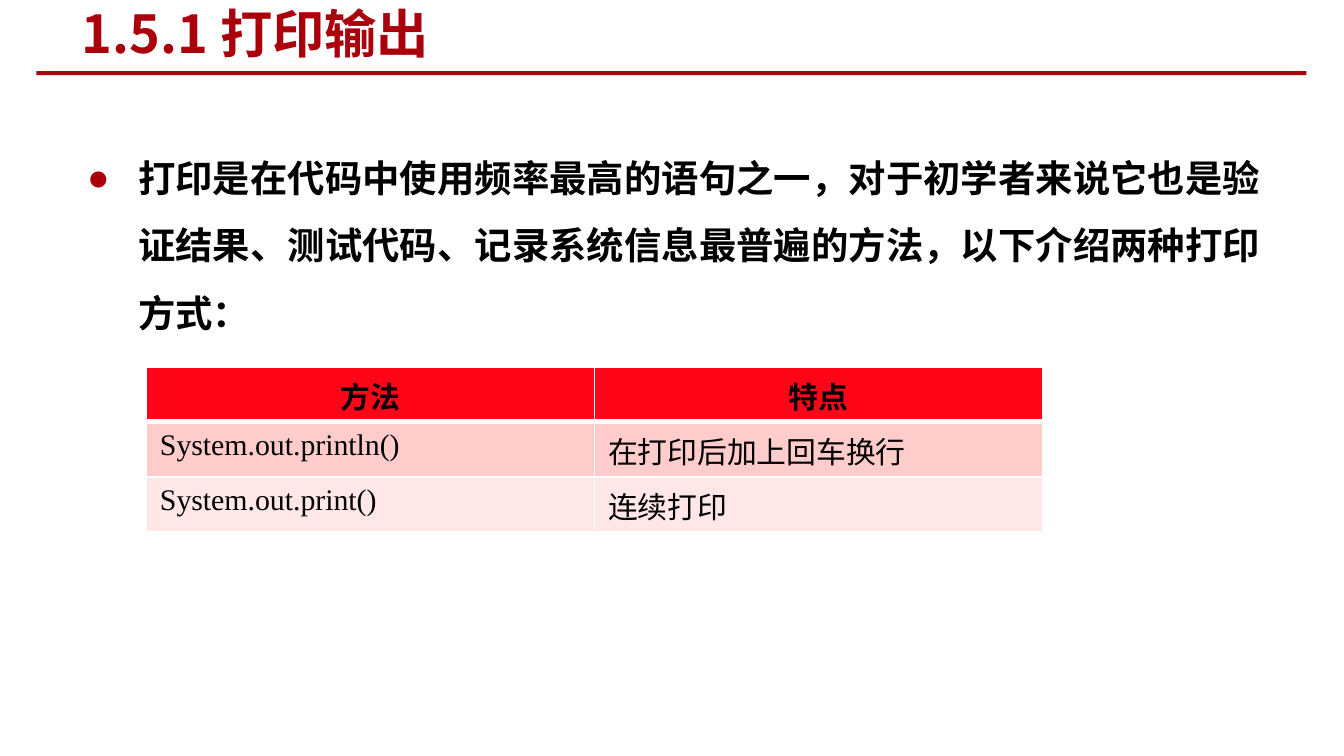
from lxml import etree
from pptx import Presentation
from pptx.dml.color import RGBColor
from pptx.enum.shapes import MSO_SHAPE
from pptx.enum.text import MSO_ANCHOR, PP_ALIGN
from pptx.oxml.ns import qn
from pptx.util import Inches, Pt

TITLE = "1.5.1 打印输出"
INTRO = ("打印是在代码中使用频率最高的语句之一，对于初学者来说它也是验证结果、"
         "测试代码、记录系统信息最普遍的方法，以下介绍两种打印方式：")
METHODS = [
    ("方法", "特点"),
    ("System.out.println()", "在打印后加上回车换行"),
    ("System.out.print()", "连续打印"),
]

CRIMSON = RGBColor(0xAA, 0x00, 0x0B)
BLACK = RGBColor(0, 0, 0)
ROW_FILLS = [RGBColor(0xFF, 0x05, 0x17), RGBColor(0xFF, 0xCC, 0xCC), RGBColor(0xFF, 0xE7, 0xE8)]
CJK_FONT = "Noto Sans CJK SC"
LATIN_FONT = "Times New Roman"


def style_runs(paragraph, size, color, bold, latin=CJK_FONT):
    for run in paragraph.runs:
        run.font.size = Pt(size)
        run.font.bold = bold
        run.font.color.rgb = color
        run.font.name = latin
        etree.SubElement(run.font._element, qn("a:ea"), typeface=CJK_FONT)


def add_bullet(paragraph, indent):
    properties = paragraph._p.get_or_add_pPr()
    properties.set("marL", str(indent))
    properties.set("indent", str(-indent))
    color = etree.SubElement(properties, qn("a:buClr"))
    etree.SubElement(color, qn("a:srgbClr"), val=str(CRIMSON))
    etree.SubElement(properties, qn("a:buFont"), typeface=LATIN_FONT)
    etree.SubElement(properties, qn("a:buChar"), char="●")


def set_borders(cell, widths):
    """Draw white cell borders; widths maps a side (L, R, T, B) to points."""
    properties = cell._tc.get_or_add_tcPr()
    for position, (side, width) in enumerate(widths.items()):
        line = etree.Element(qn(f"a:ln{side}"), w=str(Pt(width)))
        fill = etree.SubElement(line, qn("a:solidFill"))
        etree.SubElement(fill, qn("a:srgbClr"), val="FFFFFF")
        properties.insert(position, line)


def add_title(slide):
    title = slide.shapes.title
    title.left, title.top, title.width, title.height = map(Inches, (0.51, 0.02, 5.3, 0.45))
    frame = title.text_frame
    frame.text = TITLE
    frame.vertical_anchor = MSO_ANCHOR.MIDDLE
    frame.paragraphs[0].alignment = PP_ALIGN.LEFT
    style_runs(frame.paragraphs[0], 28, CRIMSON, True)


def add_rule(slide):
    rule = slide.shapes.add_shape(
        MSO_SHAPE.RECTANGLE, Inches(0.27), Inches(0.53), Inches(9.45), Inches(0.03))
    rule.shadow.inherit = False
    rule.fill.solid()
    rule.fill.fore_color.rgb = CRIMSON
    rule.line.fill.background()


def add_intro(slide):
    intro = slide.shapes.add_textbox(Inches(0.55), Inches(0.94), Inches(8.98), Inches(4.1))
    frame = intro.text_frame
    frame.word_wrap = True
    frame.text = INTRO
    paragraph = frame.paragraphs[0]
    paragraph.line_spacing = Pt(36)
    add_bullet(paragraph, Inches(0.38))
    style_runs(paragraph, 20, BLACK, True)


def add_methods(slide):
    table = slide.shapes.add_table(
        len(METHODS), len(METHODS[0]),
        Inches(1.09), Inches(2.73), Inches(6.67), Inches(1.23)).table
    for r, (texts, fill) in enumerate(zip(METHODS, ROW_FILLS)):
        header = r == 0
        for c, text in enumerate(texts):
            cell = table.cell(r, c)
            cell.text = text
            cell.fill.solid()
            cell.fill.fore_color.rgb = fill
            set_borders(cell, {"L": 1, "R": 1, "T": 3 if r == 1 else 1, "B": 3 if header else 1})
            paragraph = cell.text_frame.paragraphs[0]
            paragraph.alignment = PP_ALIGN.CENTER if header else PP_ALIGN.LEFT
            style_runs(paragraph, 16, BLACK, header, LATIN_FONT)


def main():
    deck = Presentation()
    deck.slide_width = Inches(10)
    deck.slide_height = deck.slide_width * 9 // 16
    slide = deck.slides.add_slide(deck.slide_layouts[5])
    add_rule(slide)
    add_intro(slide)
    add_title(slide)
    add_methods(slide)
    deck.save("out.pptx")


if __name__ == "__main__":
    main()
